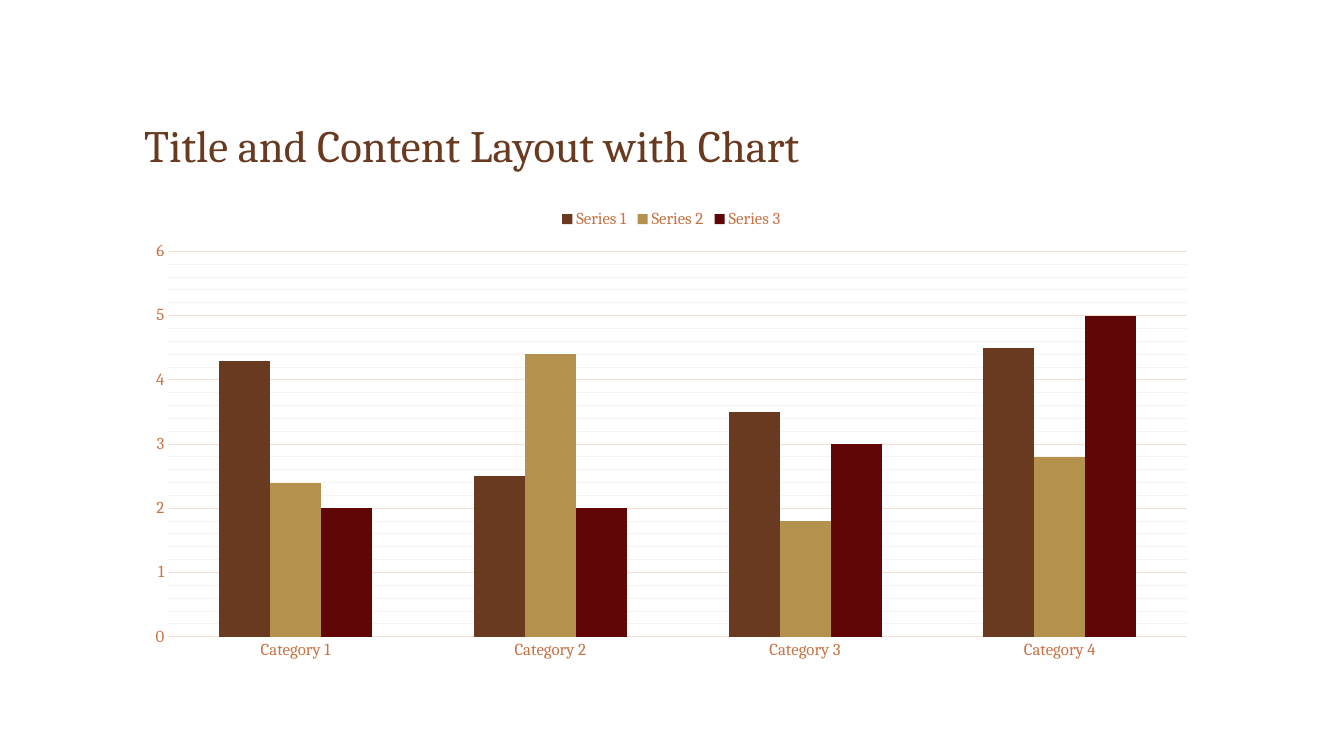
from dataclasses import dataclass

from lxml.etree import SubElement
from pptx import Presentation
from pptx.chart.data import CategoryChartData
from pptx.dml.color import RGBColor
from pptx.enum.chart import XL_CHART_TYPE as ChartType
from pptx.enum.chart import XL_LEGEND_POSITION as LegendPosition
from pptx.enum.chart import XL_TICK_MARK as TickMark
from pptx.enum.text import MSO_ANCHOR as Anchor
from pptx.enum.text import MSO_AUTO_SIZE as AutoSize
from pptx.enum.text import PP_ALIGN as Align
from pptx.oxml.ns import qn
from pptx.util import Cm, Pt


@dataclass(frozen=True)
class Theme:
    font: str = "Cambria"
    brown: str = "6A3A20"
    copper: str = "C77345"
    grid: str = "F2DFD4"
    minor_grid: str = "F9F3F0"
    series: tuple = ("6A3A20", "B4914C", "610606")
    title_size: int = 32
    label_size: int = 12
    chart_size: int = 10
    line_width: float = 0.75


THEME = Theme()

# Content and shared column
LEFT, WIDTH = Cm(3.38), Cm(27.08)
CATEGORIES = [f"Category {number}" for number in range(1, 5)]
SERIES = {
    "Series 1": (4.3, 2.5, 3.5, 4.5),
    "Series 2": (2.4, 4.4, 1.8, 2.8),
    "Series 3": (2, 2, 3, 5),
}


def style_font(font, size, color):
    font.name = THEME.font
    font.size = Pt(size)
    font.bold = False
    font.color.rgb = RGBColor.from_string(color)


def style_line(line, color):
    line.width = Pt(THEME.line_width)
    line.color.rgb = RGBColor.from_string(color)


def add_title(slide, text):
    title = slide.shapes.title
    title.left, title.top, title.width, title.height = LEFT, Cm(1.19), WIDTH, Cm(3.25)
    frame = title.text_frame
    frame.auto_size = AutoSize.NONE
    frame.word_wrap = True
    frame.vertical_anchor = Anchor.BOTTOM
    heading = frame.paragraphs[0]
    heading.alignment = Align.LEFT
    run = heading.add_run()
    run.text = text
    style_font(run.font, THEME.title_size, THEME.brown)


def style_axis(axis):
    axis.major_tick_mark = axis.minor_tick_mark = TickMark.NONE
    style_font(axis.tick_labels.font, THEME.label_size, THEME.copper)


def add_minor_gridlines(axis, color):
    axis.has_minor_gridlines = True
    # python-pptx formats only major gridlines, so the line is written as XML
    gridlines = axis.major_gridlines.format.line
    style_line(gridlines, THEME.grid)
    minor = axis.format.line and axis._element.find(qn("c:minorGridlines"))
    properties = SubElement(minor, qn("c:spPr"))
    line = SubElement(properties, qn("a:ln"), w=str(Pt(THEME.line_width)))
    fill = SubElement(line, qn("a:solidFill"))
    SubElement(fill, qn("a:srgbClr"), val=color)


def style_value_axis(axis):
    style_axis(axis)
    axis.minimum_scale, axis.maximum_scale = 0, 6
    axis.major_unit, axis.minor_unit = 1, 0.2
    axis.has_major_gridlines = True
    style_line(axis.major_gridlines.format.line, THEME.grid)
    add_minor_gridlines(axis, THEME.minor_grid)
    axis.format.line.fill.background()


def add_column_chart(slide):
    data = CategoryChartData()
    data.categories = CATEGORIES
    for name, values in SERIES.items():
        data.add_series(name, values)
    chart = slide.shapes.add_chart(
        ChartType.COLUMN_CLUSTERED, LEFT, Cm(5), WIDTH, Cm(11.86), data
    ).chart
    chart.has_title = False
    style_font(chart.font, THEME.chart_size, THEME.brown)

    # Columns
    columns = chart.plots[0]
    columns.gap_width, columns.overlap = 199, 0
    columns.vary_by_categories = False
    for series, color in zip(columns.series, THEME.series):
        series.format.fill.solid()
        series.format.fill.fore_color.rgb = RGBColor.from_string(color)

    # Axes
    style_axis(chart.category_axis)
    style_line(chart.category_axis.format.line, THEME.grid)
    style_value_axis(chart.value_axis)

    # Legend
    chart.has_legend = True
    chart.legend.position = LegendPosition.TOP
    chart.legend.include_in_layout = False
    style_font(chart.legend.font, THEME.label_size, THEME.copper)


def main():
    deck = Presentation()
    deck.slide_width, deck.slide_height = Cm(33.87), Cm(19.05)
    slide = deck.slides.add_slide(deck.slide_layouts.get_by_name("Title Only"))
    add_title(slide, "Title and Content Layout with Chart")
    add_column_chart(slide)
    deck.save("out.pptx")


if __name__ == "__main__":
    main()
